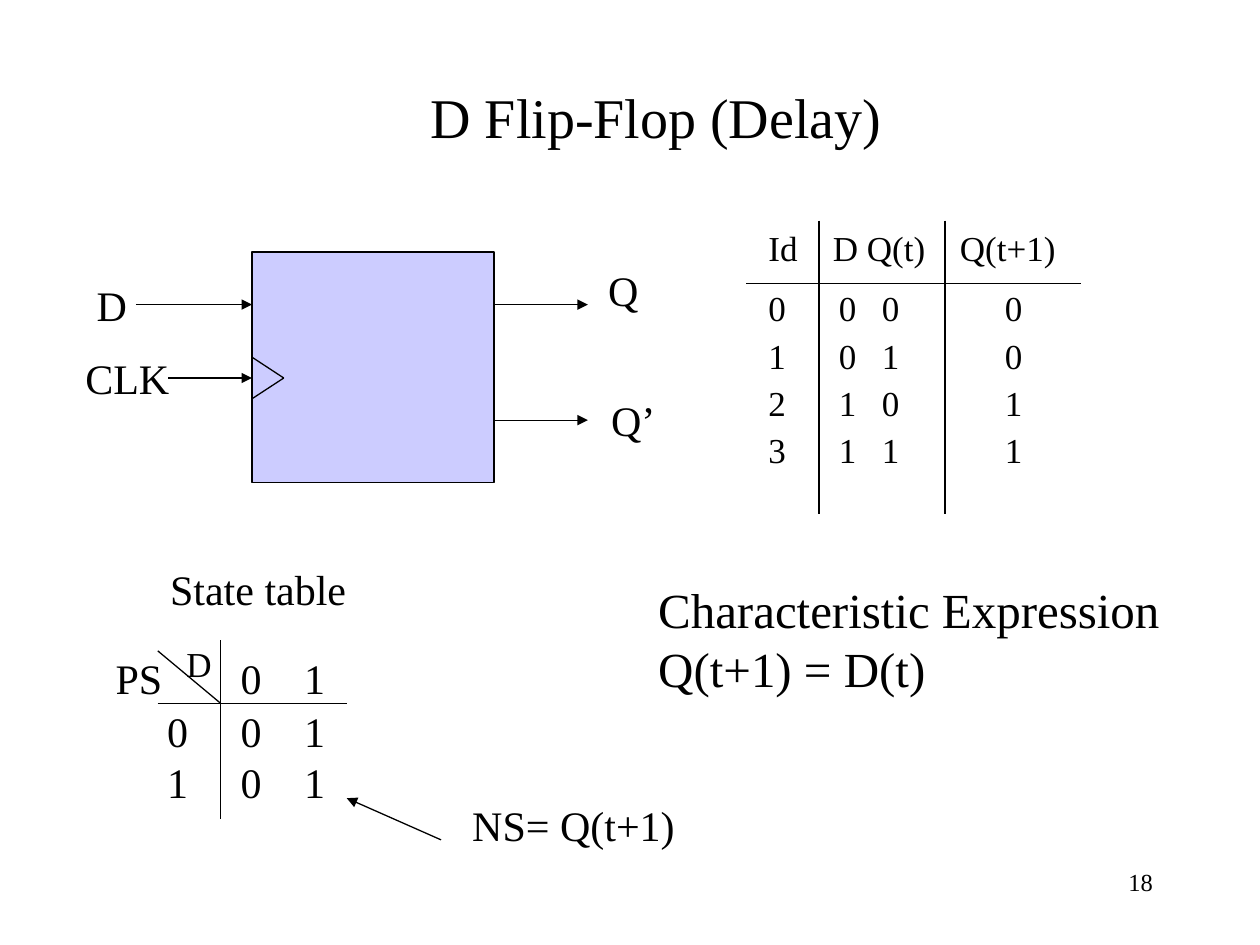
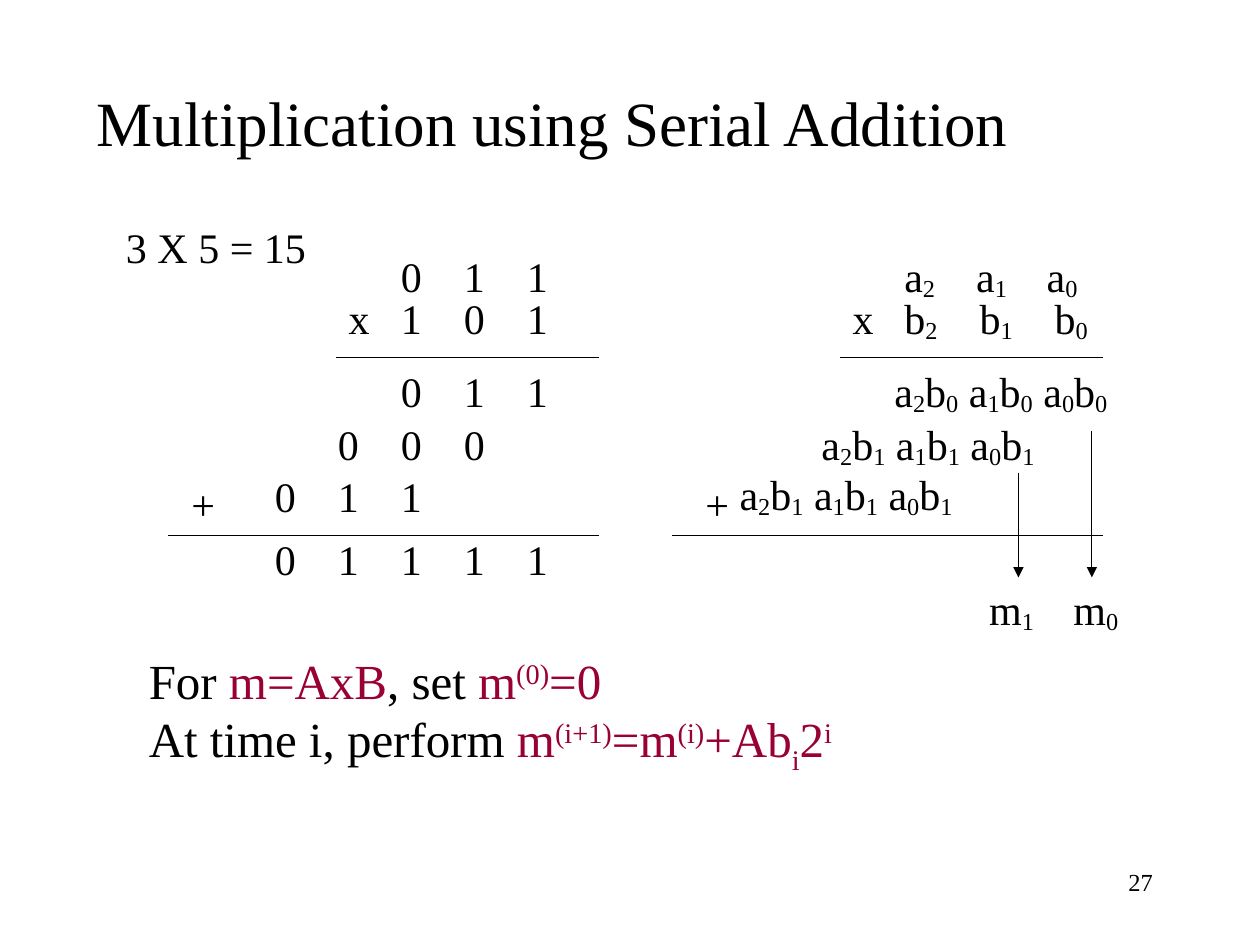
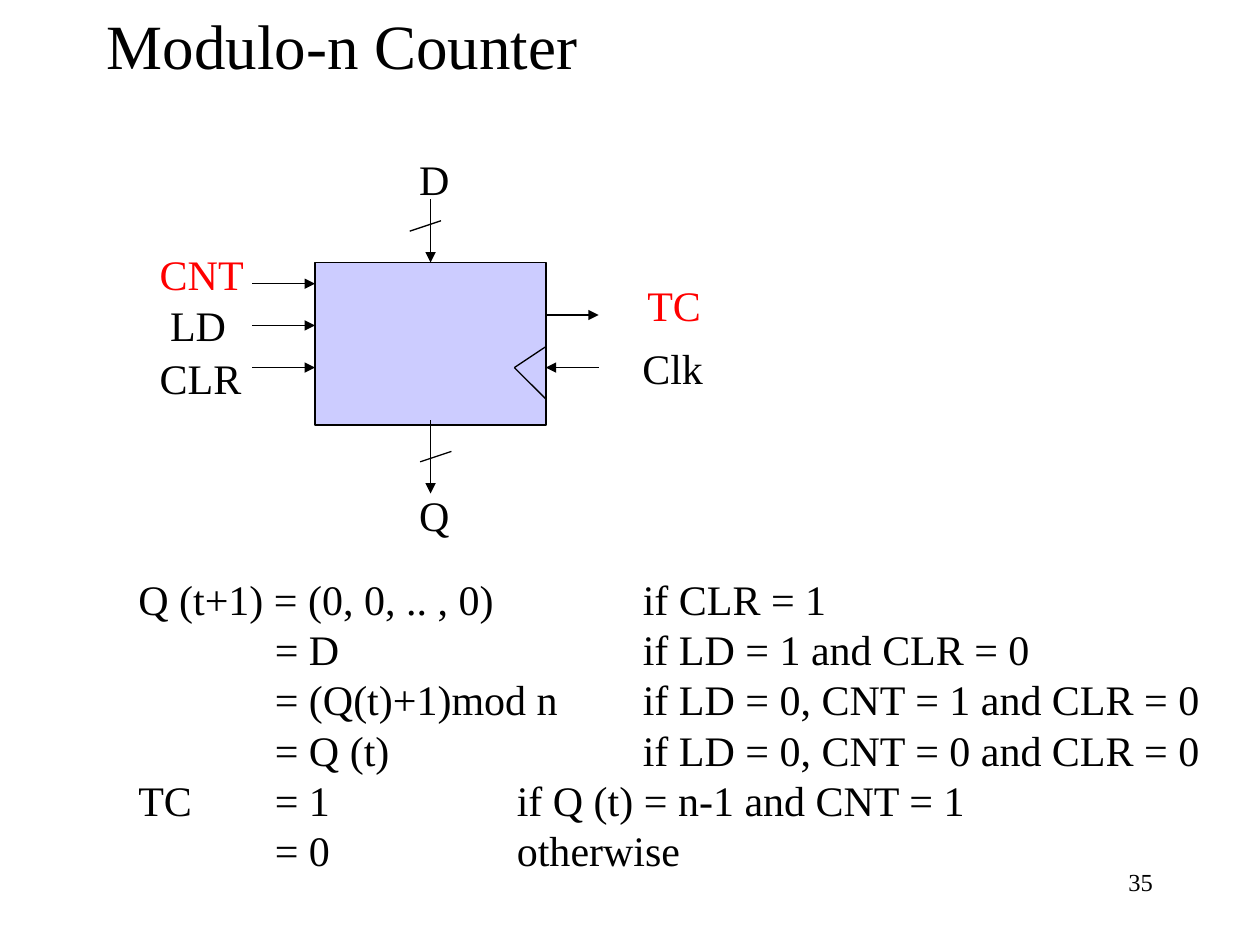
from lxml import etree
from pptx import Presentation
from pptx.dml.color import RGBColor
from pptx.enum.shapes import MSO_CONNECTOR, MSO_SHAPE
from pptx.enum.text import MSO_ANCHOR, MSO_AUTO_SIZE, PP_ALIGN
from pptx.oxml.ns import qn
from pptx.util import Cm, Pt

BLACK = RGBColor(0x00, 0x00, 0x00)
LAVENDER = RGBColor(0xCC, 0xCC, 0xFF)
CRIMSON = RGBColor(0x99, 0x00, 0x33)
RED = RGBColor(0xFF, 0x00, 0x00)
FONT = "Times New Roman"
STRAIGHT = MSO_CONNECTOR.STRAIGHT
RECTANGLE = MSO_SHAPE.RECTANGLE
MIDDLE, TOP = MSO_ANCHOR.MIDDLE, MSO_ANCHOR.TOP
CENTER, RIGHT = PP_ALIGN.CENTER, PP_ALIGN.RIGHT
GROW = MSO_AUTO_SIZE.SHAPE_TO_FIT_TEXT

# First character of a run: its baseline shift and its colour (None keeps the text colour)
RUN_MARKS = {"_": (-12000, None), "*": (0, CRIMSON), "^": (30000, CRIMSON), "~": (-25000, CRIMSON)}


def add_text(slide, text, left, top, width, height=1.27, size=24, color=BLACK,
             align=None, anchor=TOP, tabs=(), spacing=(), before=0):
    """Add text in centimetres; newlines part paragraphs and bars part marked runs."""
    box = slide.shapes.add_textbox(Cm(left), Cm(top), Cm(width), Cm(height))
    frame = box.text_frame
    frame.word_wrap = bool(tabs) or align is not None
    frame.vertical_anchor = anchor
    if align is None:
        frame.auto_size = GROW
    for index, line in enumerate(text.split("\n")):
        paragraph = frame.paragraphs[0] if index == 0 else frame.add_paragraph()
        paragraph.alignment = align
        if spacing:
            paragraph.line_spacing = spacing[index]
        if index and before:
            paragraph.space_before = Pt(before)
        if tabs:
            stops = tabs[index] if isinstance(tabs[0], tuple) else tabs
            tab_list = etree.SubElement(paragraph._p.get_or_add_pPr(), qn("a:tabLst"))
            for stop in stops:
                etree.SubElement(tab_list, qn("a:tab"), pos=str(Cm(stop)), algn="l")
        for piece in line.split("|"):
            baseline, run_color = RUN_MARKS.get(piece[0], (0, None))
            run = paragraph.add_run()
            run.text = piece[1:] if piece[0] in RUN_MARKS else piece
            run.font.name = FONT
            run.font.size = Pt(size)
            run.font.color.rgb = run_color or color
            if baseline:
                run._r.get_or_add_rPr().set("baseline", str(baseline))


def add_lines(slide, lines, arrow=False):
    """Draw thin black lines given as (x1, y1, x2, y2) in centimetres."""
    for points in lines:
        connector = slide.shapes.add_connector(STRAIGHT, *[Cm(value) for value in points])
        connector.line.color.rgb = BLACK
        connector.line.width = Pt(0.75)
        if arrow:
            etree.SubElement(connector.line._get_or_add_ln(), qn("a:tailEnd"), type="triangle")
        etree.SubElement(connector._element.spPr, qn("a:effectLst"))


presentation = Presentation()
presentation.slide_width = Cm(25.4)
presentation.slide_height = Cm(19.05)

# What the slides share: page numbers, and the logic block on two of them
slides = []
for number, block in (("18", (5.08, 5.08, 4.88, 4.65)), ("27", None),
                      ("35", (6.35, 5.29, 4.66, 3.28))):
    slide = presentation.slides.add_slide(presentation.slide_layouts[6])
    add_text(slide, number, 18.21, 17.35, 5.28, size=14, align=RIGHT)
    if block:
        shape = slide.shapes.add_shape(RECTANGLE, *[Cm(value) for value in block])
        shape.shadow.inherit = False
        shape.fill.solid()
        shape.fill.fore_color.rgb = LAVENDER
        shape.line.color.rgb = BLACK
        shape.line.width = Pt(0.75)
    slides.append(slide)
flip_flop, multiplication, counter = slides

# Slide 1: D flip-flop
add_text(flip_flop, "D Flip-Flop (Delay)", 1.9, 1.7, 22.66, size=32, align=CENTER, anchor=MIDDLE)
for label, left, top, width in (
        ("D", 1.7, 5.51, 1.12), ("CLK", 1.47, 6.99, 2.21),
        ("Q", 12.01, 5.21, 1.12), ("Q’", 12.07, 7.82, 1.4),
        ("PS", 2.08, 13.03, 1.45), ("State table", 3.18, 11.23, 4.06),
        ("NS= Q(t+1)", 9.27, 16, 4.6)):
    add_text(flip_flop, label, left, top, width)
add_text(flip_flop, "D", 3.51, 12.83, 1.02, 1.09, size=20)
add_lines(flip_flop, [(2.74, 6.14, 5.08, 6.14), (3.39, 7.62, 5.08, 7.62),
                      (9.96, 6.14, 11.85, 6.14), (9.96, 8.47, 11.85, 8.47),
                      (8.89, 16.93, 6.99, 16.09)], arrow=True)
add_lines(flip_flop, [(5.08, 7.2, 5.72, 7.62), (5.72, 7.62, 5.08, 8.04)])

add_text(flip_flop,
         "Id\tD Q(t)\tQ(t+1)\n0\t0\t0\t0\n1\t0\t1\t0\n2\t1\t0\t1\n3\t1\t1\t1",
         15.24, 4.45, 8.89, 6.5, size=20, before=10, spacing=(1, 1, 0.7, 0.7, 0.7),
         tabs=[(1.3, 3.86)] + [(1.42, 2.29, 4.77)] * 4)
add_lines(flip_flop, [(15.04, 5.72, 21.8, 5.72)])
add_lines(flip_flop, [(x, 4.45, x, 10.37) for x in (16.51, 19.05)])

add_text(flip_flop, "0\t1", 4.6, 13.03, 2.6, tabs=(1.28,))
add_text(flip_flop, "0\t0\t1\n1\t0\t1", 3.12, 14.1, 4.2, 2.29, tabs=(1.48, 2.76))
add_lines(flip_flop, [(4.45, 12.91, 4.45, 16.51), (3.18, 14.18, 6.99, 14.18),
                      (3.18, 13.12, 4.45, 14.18)])
add_text(flip_flop, "Characteristic Expression\nQ(t+1) = D(t)", 13.02, 11.56, 11.63, 2.62, size=28)

# Slide 2: multiplication, digits on a grid of equal columns
DIGIT_STEP = 1.27
FIRST_DIGIT = 5.29
add_text(multiplication, "Multiplication using Serial Addition", 1.7, 1.55, 18.97, 1.78, size=36)
add_text(multiplication, "3 X 5 = 15", 2.29, 4.34, 4.14)
for digits, column, top in (("011", 2, 4.93), ("101", 2, 5.77), ("011", 2, 7.24),
                            ("000", 1, 8.31), ("011", 0, 9.37), ("01111", 0, 10.64)):
    add_text(multiplication, "\t".join(digits), FIRST_DIGIT + column * DIGIT_STEP, top,
             1.14 + (len(digits) - 1) * DIGIT_STEP,
             tabs=[step * DIGIT_STEP for step in range(1, len(digits))])

add_text(multiplication, "a|_2|\ta|_1|\ta|_0", 17.98, 4.93, 4.4, tabs=(1.45, 2.87))
add_text(multiplication, "b|_2|\tb|_1|\tb|_0", 17.98, 5.77, 4.6, tabs=(1.52, 3.03))
for factor, left, top in (("0", 17.78, 7.24), ("1", 16.31, 8.31), ("1", 14.66, 9.32)):
    products = "| ".join(f"a|_{index}|b|_{factor}" for index in (2, 1, 0))
    add_text(multiplication, products, left, top, 5.03)
for times_left, plus_left, sum_left in ((6.78, 3.61, 3.39), (16.94, 13.97, 13.55)):
    add_text(multiplication, "x", times_left, 5.77, 0.94)
    add_text(multiplication, "+", plus_left, 9.53, 0.99)
    add_lines(multiplication, [(times_left, 7.2, times_left + 5.29, 7.2),
                               (sum_left, 10.8, sum_left + 8.68, 10.8)])
for index, left, arrow_x, arrow_top in (("0", 21.39, 22.01, 8.68), ("1", 19.69, 20.53, 9.53)):
    add_text(multiplication, f"m|_{index}", left, 11.64, 1.45)
    add_lines(multiplication, [(arrow_x, arrow_top, arrow_x, 11.64)], arrow=True)
add_text(multiplication,
         "For |*m=AxB|, set |*m|^(0)|*=0\n"
         "At time i, perform |*m|^(i+1)|*=m|^(i)|*+Ab|~i|*2|^i",
         2.75, 12.98, 14.66, 2.62, size=28)

# Slide 3: modulo-n counter
add_text(counter, "Modulo-n Counter", 1.9, 0, 10.01, 1.78, size=36)
for label, left, top, width, color in (
        ("CNT", 2.97, 4.88, 2.21, RED), ("LD", 3.18, 5.92, 1.65, BLACK),
        ("CLR", 2.97, 6.99, 2.16, BLACK), ("D", 8.2, 2.97, 1.12, BLACK),
        ("Q", 8.2, 9.75, 1.12, BLACK), ("TC", 12.8, 5.51, 1.6, RED),
        ("Clk", 12.7, 6.78, 1.73, BLACK)):
    add_text(counter, label, left, top, width, color=color)
add_lines(counter, [(5.08, y, 6.35, y) for y in (5.72, 6.56, 7.41)], arrow=True)
add_lines(counter, [(11, 6.35, 12.07, 6.35), (12.07, 7.41, 11, 7.41),
                    (8.68, 4.02, 8.68, 5.29), (8.68, 8.47, 8.68, 9.95)], arrow=True)
add_lines(counter, [(8.89, 4.45, 8.26, 4.66), (9.1, 9.1, 8.47, 9.31),
                    (11, 6.99, 10.37, 7.41), (10.37, 7.41, 11, 8.04)])
add_text(counter,
         "Q (t+1) = (0, 0, .. , 0)\tif CLR = 1\n"
         "\t= D\tif LD = 1 and CLR = 0\n"
         "\t= (Q(t)+1)mod n\tif LD = 0, CNT = 1 and CLR = 0\n"
         "\t= Q (t)\tif LD = 0, CNT = 0 and CLR = 0",
         2.54, 11.43, 22, 4.32, tabs=[(10.17,)] + [(2.75, 10.17)] * 3)
add_text(counter, "TC\t= 1\tif Q (t) = n-1 and CNT = 1\n\t= 0\totherwise",
         2.54, 15.49, 17.17, 2.29, tabs=(2.75, 7.63))

presentation.save("out.pptx")
